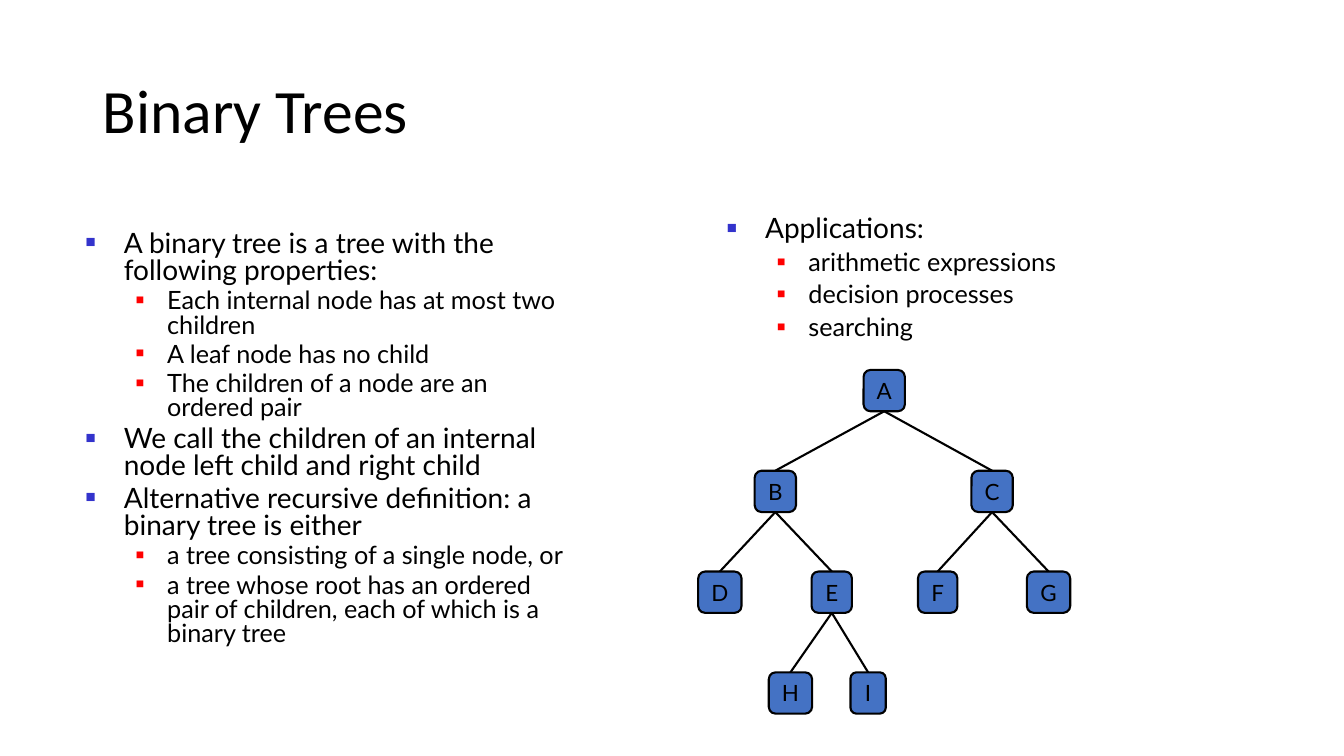
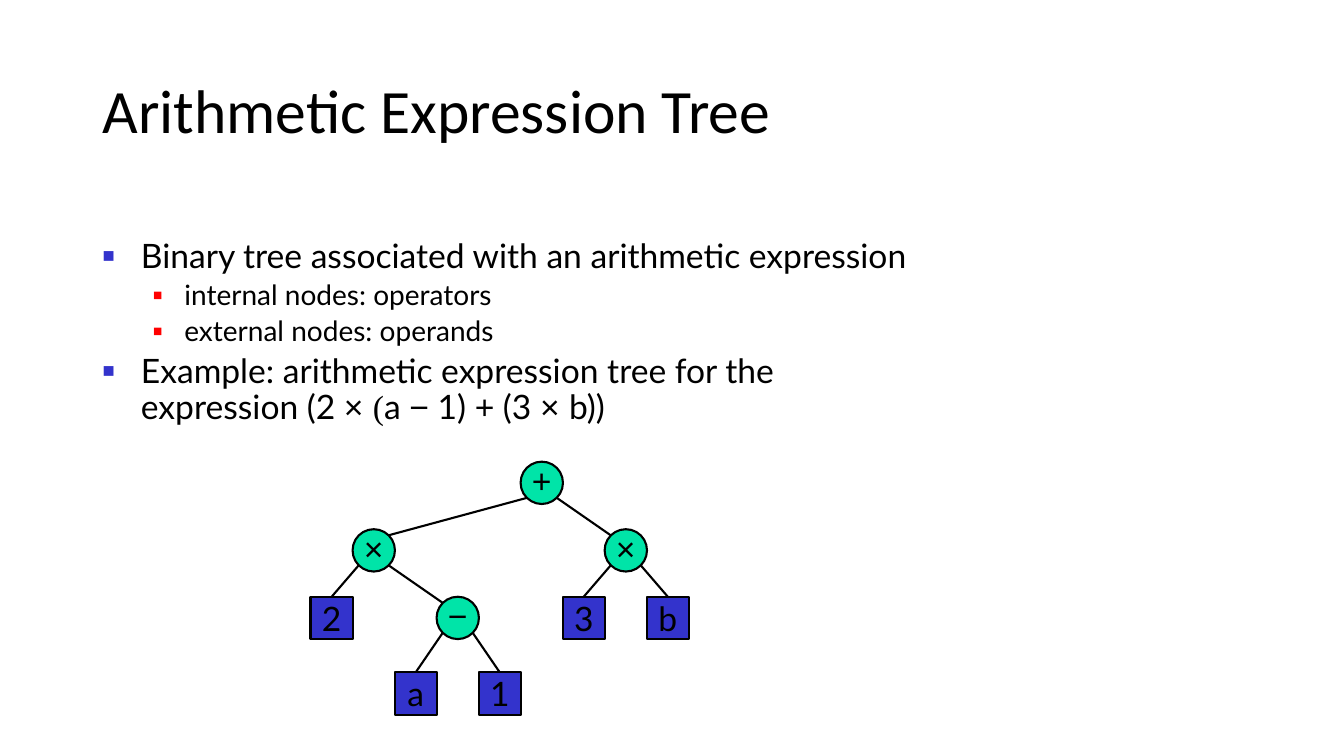
import dataclasses

import pptx
import pptx.dml.color
import pptx.enum.shapes
import pptx.enum.text
import pptx.oxml
import pptx.oxml.ns
import pptx.util

Inches = pptx.util.Inches
Pt = pptx.util.Pt
RGB = pptx.dml.color.RGBColor.from_string
KIND = pptx.enum.shapes.MSO_SHAPE
ALIGN = pptx.enum.text.PP_ALIGN
MID = pptx.enum.text.MSO_ANCHOR.MIDDLE


@dataclasses.dataclass(frozen=True)
class Theme:
    ink: str = "000000"
    blue: str = "4472C4"
    navy: str = "3333CC"
    mint: str = "00E4A8"
    red: str = "FF0000"
    head: str = "Calibri"
    body: str = "Lato"
    math: str = "Arial"
    serif: str = "Times New Roman"
    title: int = 44
    large: int = 24
    mid: int = 20
    small: int = 18
    node: int = 16
    line: float = 1.5


T = Theme()
# Per bullet level: left margin, hanging indent, colour, size in percent
BULLETS = [(0.38, 0.38, T.navy, 60), (0.81, 0.31, T.red, 55)]


# Text
def write(par, text, size=T.mid, font=T.body, align=None, space=None):
    """Fill a paragraph with a string or a list of (string, font) runs."""
    for part, face in [(text, font)] if isinstance(text, str) else text:
        run = par.add_run()
        run.text = part
        run.font.size = Pt(size)
        run.font.name = face
        run.font.color.rgb = RGB(T.ink)
    par.alignment = align
    par.line_spacing = space


def bullet(par, level):
    left, hang, color, size = BULLETS[level]
    par.level = level
    props = par._p.get_or_add_pPr()
    props.set("marL", str(Inches(left)))
    props.set("indent", str(-Inches(hang)))
    space = pptx.oxml.ns.nsdecls("a")
    for xml in (
        f'<a:buClr {space}><a:srgbClr val="{color}"/></a:buClr>',
        f'<a:buSzPct {space} val="{size * 1000}"/>',
        f'<a:buFont {space} typeface="Arial"/>',
        f'<a:buChar {space} char="■"/>',
    ):
        props.append(pptx.oxml.parse_xml(xml))


def frame(slide, box):
    text = slide.shapes.add_textbox(*map(Inches, box)).text_frame
    text.word_wrap = True
    return text


def title(slide, text):
    area = frame(slide, (0.92, 0.4, 11.5, 1.45))
    area.vertical_anchor = MID
    write(area.paragraphs[0], text, size=T.title, font=T.head, space=0.9)


def points(slide, box, items, sizes, space=0.9):
    """Bulleted list of (level, text), with one type size per level."""
    area = frame(slide, box)
    for i, (level, text) in enumerate(items):
        par = area.add_paragraph() if i else area.paragraphs[0]
        write(par, text, size=sizes[level], space=space)
        par.space_before = Pt(sizes[level] * 0.2)
        bullet(par, level)


# Tree parts
def node(slide, box, label, kind, fill, size, font=T.body, foot=0):
    shape = slide.shapes.add_shape(kind, *map(Inches, box))
    shape.shadow.inherit = False
    shape.fill.solid()
    shape.fill.fore_color.rgb = RGB(fill)
    shape.line.color.rgb = RGB(T.ink)
    shape.line.width = Pt(T.line)
    text = shape.text_frame
    text.word_wrap = False
    text.vertical_anchor = MID
    text.margin_left = text.margin_right = text.margin_top = 0
    text.margin_bottom = Inches(foot)
    write(text.paragraphs[0], label, size=size, font=font, align=ALIGN.CENTER)


def link(slide, start, end):
    line = slide.shapes.add_connector(
        pptx.enum.shapes.MSO_CONNECTOR.STRAIGHT, *map(Inches, start + end))
    line.line.color.rgb = RGB(T.ink)
    line.line.width = Pt(T.line)
    line._element.spPr.append(pptx.oxml.parse_xml(
        f'<a:effectLst {pptx.oxml.ns.nsdecls("a")}/>'))


def letters(slide, left, top):
    """Tree of rounded boxes; links run from bottom centre to top centre."""
    high, pitch = 0.41, 1.0
    # Label: centre, row, width, parent
    nodes = {
        "A": (1.85, 0, 0.41, None),
        "B": (0.77, 1, 0.41, "A"),
        "C": (2.92, 1, 0.41, "A"),
        "D": (0.22, 2, 0.43, "B"),
        "E": (1.33, 2, 0.4, "B"),
        "F": (2.38, 2, 0.39, "C"),
        "G": (3.48, 2, 0.43, "C"),
        "H": (0.92, 3, 0.43, "E"),
        "I": (1.69, 3, 0.35, "E"),
    }
    for label, (mid, row, wide, parent) in nodes.items():
        x, y = left + mid, top + row * pitch
        node(slide, (x - wide / 2, y, wide, high), label,
             KIND.ROUNDED_RECTANGLE, T.blue, T.node)
        if parent:
            up, level = nodes[parent][:2]
            link(slide, (left + up, top + level * pitch + high), (x, y))


def formula(slide, left, top):
    """Expression tree; each node's column is its place in the formula."""
    side = 0.42
    step = 5 / 12
    rows = [0, 0.67, 1.34, 2.09]
    diag = 0.15  # offset of a circle's 45 degree point from its centre
    # Column: label, row, parent column
    nodes = {
        5: ("+", 0, None),
        1: ("×", 1, 5),
        7: ("×", 1, 5),
        3: ("−", 2, 1),
        0: ("2", 2, 1),
        2: ("a", 3, 3),
        4: ("1", 3, 3),
        6: ("3", 2, 7),
        8: ("b", 2, 7),
    }

    def centre(col):
        return left + side / 2 + col * step, top + side / 2 + rows[nodes[col][1]]

    for col, (label, row, parent) in nodes.items():
        x, y = centre(col)
        box = (x - side / 2, y - side / 2, side, side)
        inner = label in "+×−"
        if inner:
            node(slide, box, label, KIND.OVAL, T.mint, T.large,
                 font=T.math, foot=0.05)
        else:
            node(slide, box, label, KIND.RECTANGLE, T.navy, T.large)
        if parent is not None:
            px, py = centre(parent)
            turn = diag if col > parent else -diag
            end = (x - turn, y - diag) if inner else (x, y - side / 2)
            link(slide, (px + turn, py + diag), end)


# Slides
def binary(slide):
    title(slide, "Binary Trees")
    sizes = (T.mid, T.small)
    points(slide, (0.75, 2.25, 5.08, 4.67), [
        (0, "A binary tree is a tree with the following properties:"),
        (1, "Each internal node has at most two children"),
        (1, "A leaf node has no child"),
        (1, "The children of a node are an ordered pair"),
        (0, "We call the children of an internal node left child and right child"),
        (0, "Alternative recursive definition: a binary tree is either"),
        (1, "a tree consisting of a single node, or"),
        (1, "a tree whose root has an ordered pair of children, "
            "each of which is a binary tree"),
    ], sizes, space=0.8)
    points(slide, (7.11, 2.08, 3.58, 1.67), [
        (0, "Applications:"),
        (1, "arithmetic expressions"),
        (1, "decision processes"),
        (1, "searching"),
    ], sizes)
    letters(slide, 6.92, 3.67)


def arith(slide):
    title(slide, "Arithmetic Expression Tree")
    example = [
        ("Example: arithmetic expression tree for the expression (2 ", T.body),
        ("× ", T.math), ("(", T.serif), ("a ", T.body), ("−", T.math),
        (" 1) ", T.body), ("+", T.math), (" (3 ", T.body), ("× ", T.math),
        ("b))", T.body),
    ]
    points(slide, (0.92, 2.33, 8.5, 2.08), [
        (0, "Binary tree associated with an arithmetic expression"),
        (1, "internal nodes: operators"),
        (1, "external nodes: operands"),
        (0, example),
    ], (T.large, T.mid))
    formula(slide, 3.08, 4.58)


def main():
    deck = pptx.Presentation()
    deck.slide_width, deck.slide_height = Inches(13.33), Inches(7.5)
    for build in (binary, arith):
        build(deck.slides.add_slide(deck.slide_layouts[6]))
    deck.save("out.pptx")


if __name__ == "__main__":
    main()
